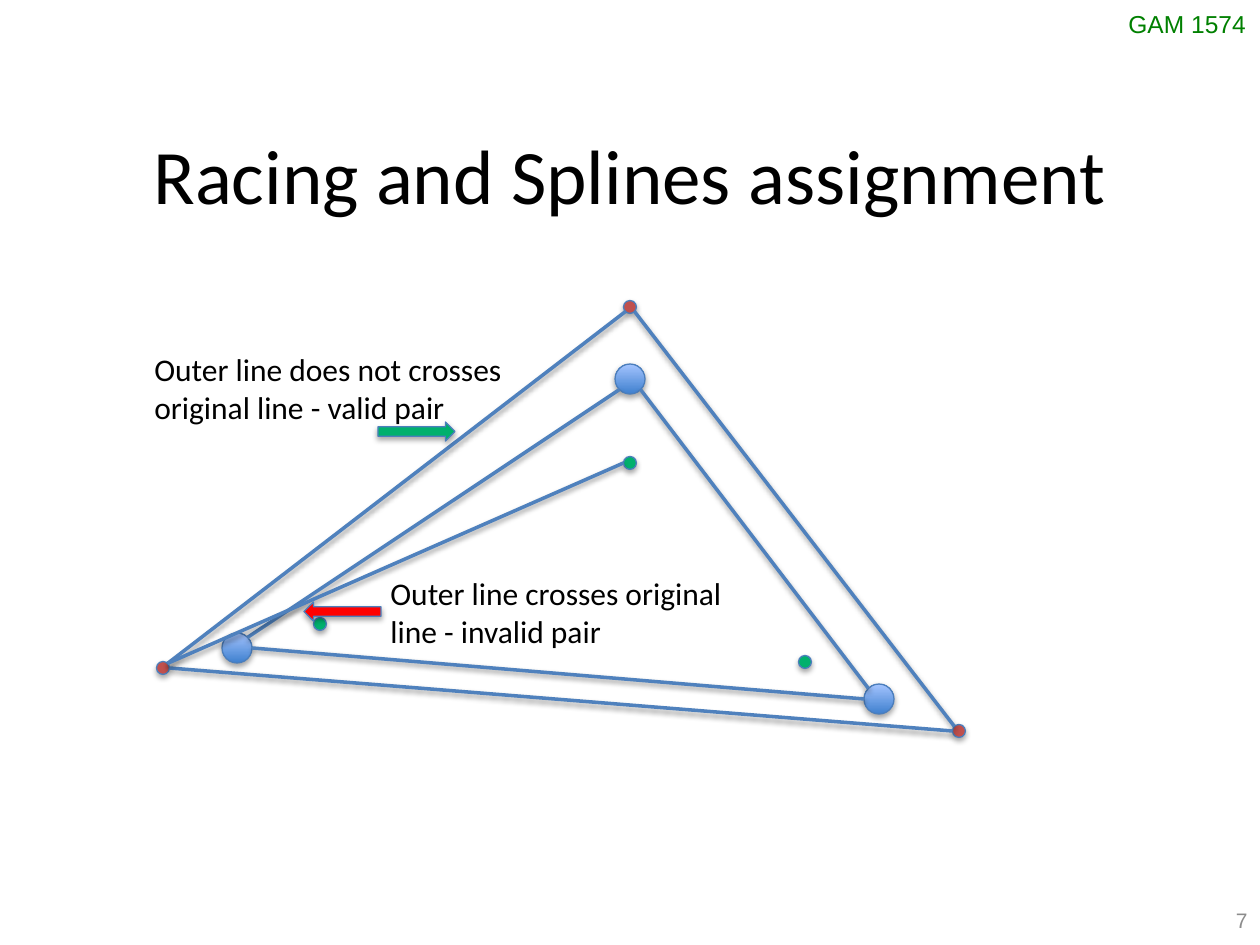
from dataclasses import dataclass
from math import cos, radians, sin

from pptx import Presentation
from pptx.dml.color import RGBColor
from pptx.enum.shapes import MSO_CONNECTOR, MSO_SHAPE
from pptx.enum.text import MSO_ANCHOR, MSO_AUTO_SIZE, PP_ALIGN
from pptx.oxml import parse_xml
from pptx.oxml.ns import nsdecls
from pptx.util import Pt

OVAL = MSO_SHAPE.OVAL
LEFT_ARROW, RIGHT_ARROW = MSO_SHAPE.LEFT_ARROW, MSO_SHAPE.RIGHT_ARROW
STRAIGHT = MSO_CONNECTOR.STRAIGHT
LEFT, CENTER, RIGHT = PP_ALIGN.LEFT, PP_ALIGN.CENTER, PP_ALIGN.RIGHT
TOP, MIDDLE = MSO_ANCHOR.TOP, MSO_ANCHOR.MIDDLE
FIT_SHAPE, NO_FIT = MSO_AUTO_SIZE.SHAPE_TO_FIT_TEXT, MSO_AUTO_SIZE.NONE


@dataclass(frozen=True)
class Theme:
    text: str = "000000"
    course: str = "008000"
    page: str = "8C8C8C"
    outline: str = "4B7EBC"
    track: str = "4F81BD"
    waypoint: tuple = ("3F80CE", "A4C4FF")
    outer: str = "C0504D"
    inner: str = "00B06D"
    invalid: str = "FF0000"
    body_font: str = "Calibri"
    label_font: str = "Arial"
    title_size: int = 44
    note_size: int = 18
    course_size: int = 14
    page_size: int = 12


THEME = Theme()
SLIDE_SIZE = (1260, 945)
PX = 914400 / 126

TITLE = ("Racing and Splines assignment", (105, 121, 1050, 106))
COURSE = ("GAM 1574", (1116, 3, 144, 43))
PAGE = ("7", (966, 895, 294, 50))
NOTES = [
    (["Outer line crosses original", "line - invalid pair"], (378, 568, 360, 89)),
    (["Outer line does not crosses", "original line - valid pair"], (142, 344, 377, 89)),
]
ARROWS = [
    (LEFT_ARROW, (304, 602, 77, 19), THEME.invalid),
    (RIGHT_ARROW, (378, 422, 77, 19), THEME.inner),
]
POINT_SETS = {
    "waypoint": (30, THEME.waypoint, {"left": (237, 648), "top": (630, 379), "right": (879, 699)}),
    "outer": (13, THEME.outer, {"right": (959, 731), "top": (630, 307), "left": (163, 668)}),
    "inner": (13, THEME.inner, {"left": (320, 624), "top": (630, 463), "right": (805, 662)}),
}
TRIANGLE = [
    ("left", "NE", "top", "SW"),
    ("top", "SE", "right", "NW"),
    ("left", "E", "right", "W"),
]
TRACKS = [
    ((group, start, start_side), (group, end, end_side))
    for group in ("waypoint", "outer")
    for start, start_side, end, end_side in TRIANGLE
] + [(("outer", "left", "NE"), ("inner", "top", "W"))]
SIDE_ANGLES = {"E": 0, "SE": 45, "SW": 135, "W": 180, "NW": 225, "NE": 315}


def emu(*lengths):
    return [round(length * PX) for length in lengths]


def rgb(code):
    return RGBColor.from_string(code)


def add_shadow(item, distance, opacity):
    item._element.spPr.append(parse_xml(
        f'<a:effectLst {nsdecls("a")}><a:outerShdw blurRad="40000" dist="{distance}" '
        f'dir="5400000" rotWithShape="0"><a:srgbClr val="000000">'
        f'<a:alpha val="{opacity}000"/></a:srgbClr></a:outerShdw></a:effectLst>'))


def write(frame, lines, size, color, font, align=LEFT):
    frame.text = "\n".join(lines)
    for paragraph in frame.paragraphs:
        paragraph.alignment = align
        paragraph.font.size = Pt(size)
        paragraph.font.name = font
        paragraph.font.color.rgb = rgb(color)


def add_text(slide, lines, box, size, color, font, align=LEFT, wrap=False, fit=FIT_SHAPE, anchor=TOP):
    frame = slide.shapes.add_textbox(*emu(*box)).text_frame
    write(frame, lines, size, color, font, align)
    frame.word_wrap = wrap
    frame.auto_size = fit
    frame.vertical_anchor = anchor


def add_marker(slide, kind, box, color):
    marker = slide.shapes.add_shape(kind, *emu(*box))
    if isinstance(color, tuple):
        marker.fill.gradient()
        marker.fill.gradient_angle = 90
        for stop, code in zip(marker.fill.gradient_stops, color):
            stop.color.rgb = rgb(code)
    else:
        marker.fill.solid()
        marker.fill.fore_color.rgb = rgb(color)
    marker.line.color.rgb = rgb(THEME.outline)
    marker.line.width = Pt(0.75)
    add_shadow(marker, 23000, 35)


def rim_point(group, corner, side):
    diameter, _, centers = POINT_SETS[group]
    x, y = centers[corner]
    angle = radians(SIDE_ANGLES[side])
    return x + diameter / 2 * cos(angle), y + diameter / 2 * sin(angle)


def add_track(slide, start, end):
    track = slide.shapes.add_connector(STRAIGHT, *emu(*rim_point(*start), *rim_point(*end)))
    track.line.color.rgb = rgb(THEME.track)
    track.line.width = Pt(2)
    add_shadow(track, 20000, 38)


def main():
    prs = Presentation()
    prs.slide_width, prs.slide_height = emu(*SLIDE_SIZE)
    slide = prs.slides.add_slide(prs.slide_layouts.get_by_name("Title Only"))

    course, course_box = COURSE
    add_text(slide, [course], course_box, THEME.course_size, THEME.course, THEME.label_font)
    page, page_box = PAGE
    add_text(slide, [page], page_box, THEME.page_size, THEME.page, THEME.label_font,
             RIGHT, True, NO_FIT, MIDDLE)

    heading, heading_box = TITLE
    title = slide.shapes.title
    title.left, title.top, title.width, title.height = emu(*heading_box)
    write(title.text_frame, [heading], THEME.title_size, THEME.text, THEME.body_font, CENTER)

    for diameter, color, centers in POINT_SETS.values():
        for x, y in centers.values():
            box = (x - diameter / 2, y - diameter / 2, diameter, diameter)
            add_marker(slide, OVAL, box, color)
    for start, end in TRACKS:
        add_track(slide, start, end)
    for kind, box, color in ARROWS:
        add_marker(slide, kind, box, color)
    for lines, box in NOTES:
        add_text(slide, lines, box, THEME.note_size, THEME.text, THEME.body_font)

    prs.save("out.pptx")


if __name__ == "__main__":
    main()
